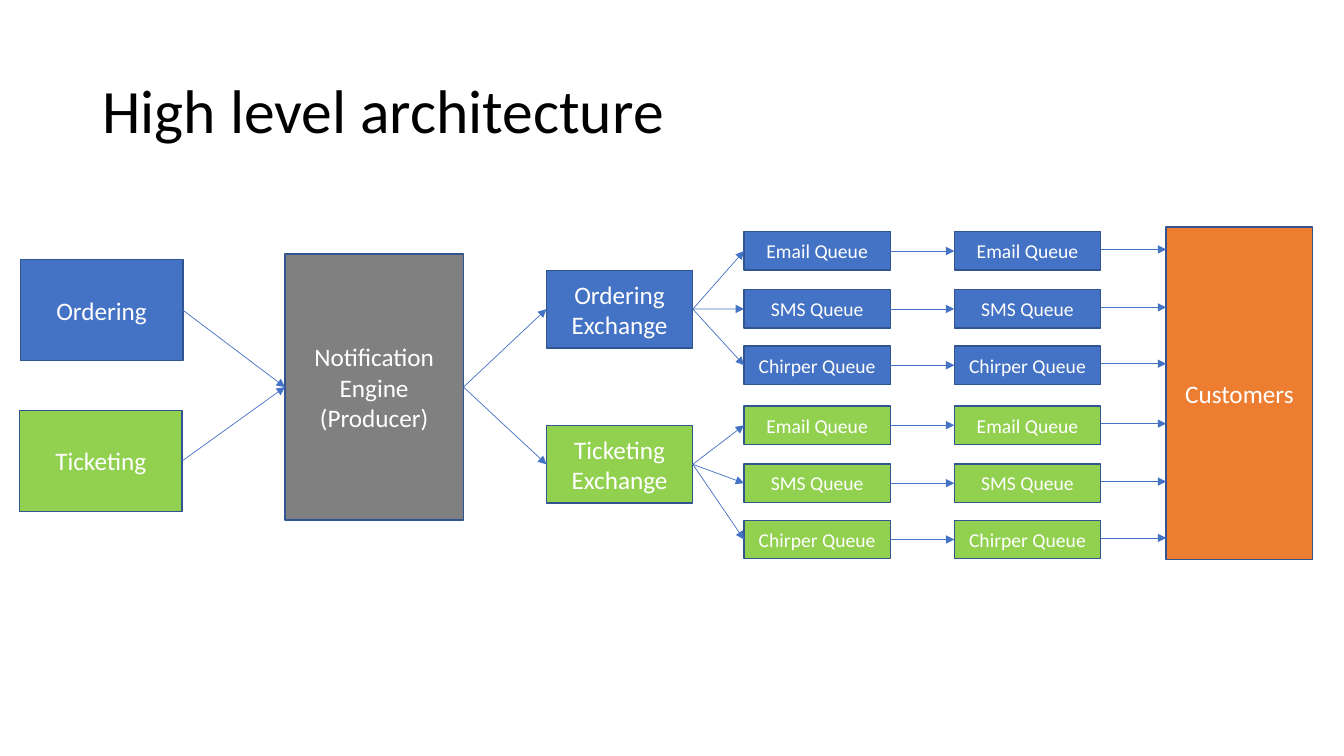
from dataclasses import dataclass

from lxml import etree
from pptx import Presentation
from pptx import util as u
from pptx.dml.color import RGBColor
from pptx.enum import shapes, text
from pptx.oxml import ns


@dataclass(frozen=True)
class Theme:
    """Colours, font and type sizes of the slide."""
    ordering: str = "4472C4"
    ticketing: str = "92D050"
    engine: str = "808080"
    customers: str = "ED7D31"
    outline: str = "325491"
    arrow: str = "4472C4"
    label: str = "FFFFFF"
    heading: str = "000000"
    font: str = "Calibri"
    heading_size: int = 44
    node_size: int = 18
    queue_size: int = 14
    outline_width: float = 1
    arrow_width: float = 0.5


@dataclass(frozen=True)
class Box:
    """A rectangle in centimetres."""
    left: float
    top: float
    width: float
    height: float

    def inside(self, dx, dy, width, height):
        """Return a box offset from this one's top left corner."""
        return Box(self.left + dx, self.top + dy, width, height)

    def emu(self):
        """Return left, top, width and height as lengths."""
        return [u.Cm(v) for v in (self.left, self.top, self.width, self.height)]

    def entry(self):
        """Return the middle of the left side."""
        return self.left, self.top + self.height / 2

    def exit(self):
        """Return the middle of the right side."""
        return self.left + self.width, self.top + self.height / 2


THEME = Theme()
CHANNELS = ("Email Queue", "SMS Queue", "Chirper Queue")
CHANNEL_DROPS = (0, 1.46, 2.88)
QUEUE_COLUMNS = (4.98, 10.28)
NODE_WIDTH = 3.69
EXCHANGE_HEIGHT = 1.96
QUEUE_HEIGHT = 0.97
CUSTOMER_ARROW_RISE = 0.04


def style_text(frame, wording, size, color, align):
    """Write the wording and format every paragraph alike."""
    frame.word_wrap = True
    frame.vertical_anchor = text.MSO_ANCHOR.MIDDLE
    frame.text = wording
    for paragraph in frame.paragraphs:
        paragraph.alignment = align
        paragraph.font.name = THEME.font
        paragraph.font.size = u.Pt(size)
        paragraph.font.color.rgb = RGBColor.from_string(color)


def add_node(slide, box, wording, fill, size=THEME.node_size):
    """Draw one labelled rectangle and return its box."""
    node = slide.shapes.add_shape(shapes.MSO_SHAPE.RECTANGLE, *box.emu())
    node.shadow.inherit = False
    node.fill.solid()
    node.fill.fore_color.rgb = RGBColor.from_string(fill)
    node.line.color.rgb = RGBColor.from_string(THEME.outline)
    node.line.width = u.Pt(THEME.outline_width)
    style_text(node.text_frame, wording, size, THEME.label, text.PP_ALIGN.CENTER)
    return box


def add_arrow(slide, start, end):
    """Draw a thin arrow between two points."""
    arrow = slide.shapes.add_connector(
        shapes.MSO_CONNECTOR.STRAIGHT, *[u.Cm(v) for v in (*start, *end)])
    arrow.line.color.rgb = RGBColor.from_string(THEME.arrow)
    arrow.line.width = u.Pt(THEME.arrow_width)
    etree.SubElement(arrow.line._get_or_add_ln(), ns.qn("a:tailEnd"), type="triangle")
    etree.SubElement(arrow._element.spPr, ns.qn("a:effectLst"))


def add_heading(slide, box):
    """Place the slide heading."""
    heading = slide.shapes.add_textbox(*box.emu())
    style_text(heading.text_frame, "High level architecture",
               THEME.heading_size, THEME.heading, text.PP_ALIGN.LEFT)
    heading.text_frame.paragraphs[0].line_spacing = 0.9


def add_sources(slide, box):
    """Place the two source systems at the top and bottom of the box."""
    width, height = 4.1, 2.55
    return [
        add_node(slide, box.inside(0.02, 0, width, height), "Ordering", THEME.ordering),
        add_node(slide, box.inside(0, box.height - height, width, height),
                 "Ticketing", THEME.ticketing),
    ]


def add_lane(slide, box, name, fill, exchange_drop):
    """Place an exchange and its two queue columns; return exchange and last queues."""
    exchange = add_node(slide, box.inside(0, exchange_drop, NODE_WIDTH, EXCHANGE_HEIGHT),
                        f"{name} Exchange", fill)
    last_queues = []
    for channel, drop in zip(CHANNELS, CHANNEL_DROPS):
        previous = exchange
        for column in QUEUE_COLUMNS:
            queue = add_node(slide, box.inside(column, drop, NODE_WIDTH, QUEUE_HEIGHT),
                             channel, fill, THEME.queue_size)
            add_arrow(slide, previous.exit(), queue.entry())
            previous = queue
        last_queues.append(previous)
    return exchange, last_queues


def add_architecture(slide, box):
    """Place the whole flow from sources to customers."""
    sources = add_sources(slide, box.inside(0, 0.82, 4.12, 6.35))
    engine = add_node(slide, box.inside(6.69, 0.68, 4.5, 6.71),
                      "Notification Engine\n(Producer)", THEME.engine)
    customers = add_node(slide, box.inside(28.9, 0, NODE_WIDTH, box.height),
                         "Customers", THEME.customers)
    for source in sources:
        add_arrow(slide, source.exit(), engine.entry())
    lanes = (("Ordering", THEME.ordering, 0.12, 0.97),
             ("Ticketing", THEME.ticketing, 4.51, 0.49))
    for name, fill, drop, exchange_drop in lanes:
        exchange, last_queues = add_lane(
            slide, box.inside(13.28, drop, 13.97, 3.85), name, fill, exchange_drop)
        add_arrow(slide, engine.exit(), exchange.entry())
        for queue in last_queues:
            x, y = queue.exit()
            level = y - CUSTOMER_ARROW_RISE
            add_arrow(slide, (x, level), (customers.left, level))


def main():
    """Build and save the slide."""
    deck = Presentation()
    deck.slide_width, deck.slide_height = u.Cm(33.87), u.Cm(19.05)
    slide = deck.slides.add_slide(deck.slide_layouts[6])
    add_heading(slide, Box(2.33, 1.01, 29.21, 3.68))
    add_architecture(slide, Box(0.49, 5.72, 32.59, 8.38))
    deck.save("out.pptx")


if __name__ == "__main__":
    main()
